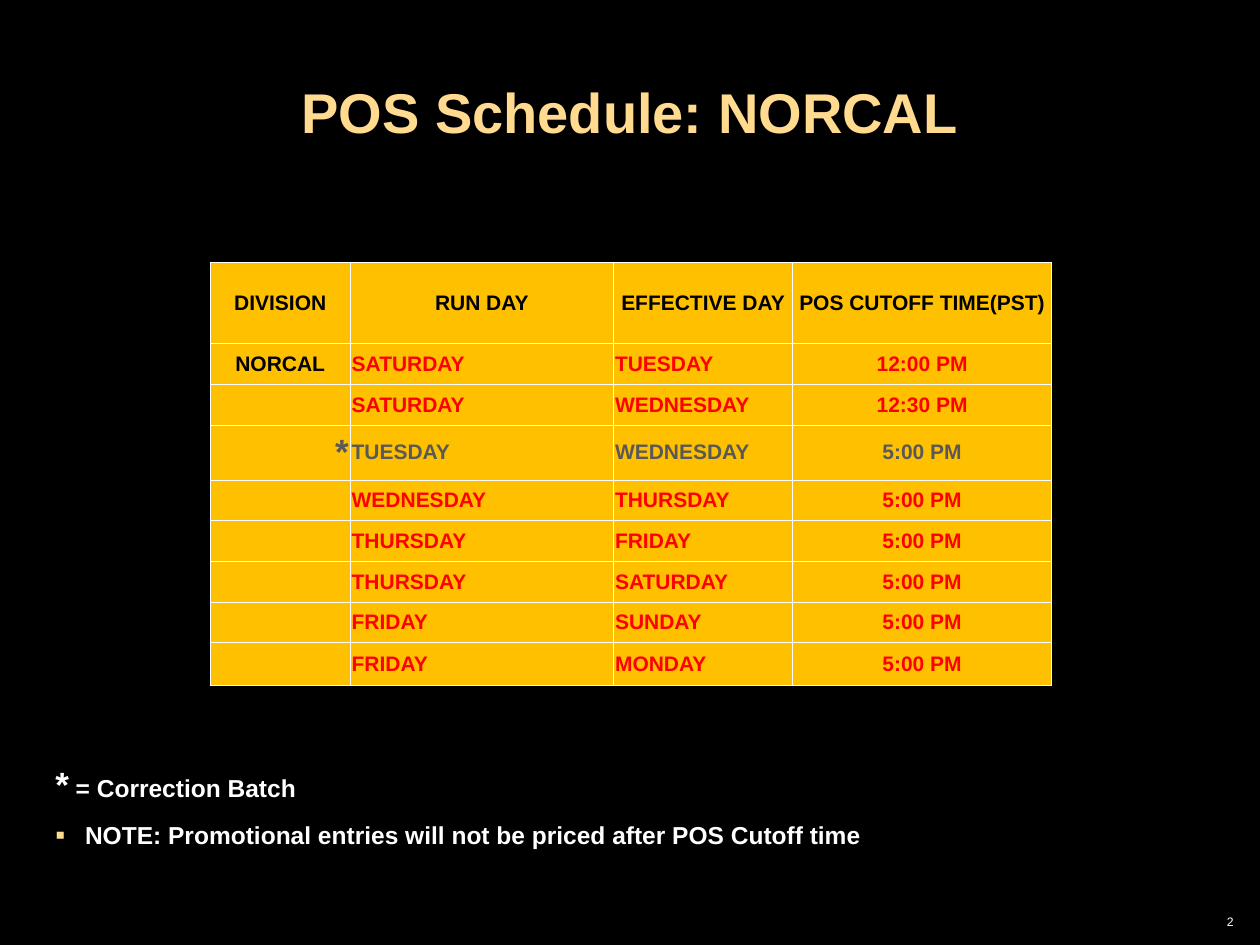
from dataclasses import dataclass

from lxml import etree
from pptx import Presentation
from pptx.dml.color import RGBColor
from pptx.enum.text import MSO_ANCHOR, MSO_AUTO_SIZE, PP_ALIGN
from pptx.oxml.ns import qn
from pptx.util import Cm, Pt

LEFT, CENTER, RIGHT = PP_ALIGN.LEFT, PP_ALIGN.CENTER, PP_ALIGN.RIGHT
MIDDLE, BOTTOM = MSO_ANCHOR.MIDDLE, MSO_ANCHOR.BOTTOM
FIXED_SIZE, GROW = MSO_AUTO_SIZE.NONE, MSO_AUTO_SIZE.SHAPE_TO_FIT_TEXT

FONT = "Arial"
COLORS = {
    "background": "000000",
    "accent": "FFDA8F",
    "light": "FFFFFF",
    "cell": "FFC000",
    "header": "000000",
    "regular": "FF0000",
    "correction": "595959",
}
HEADERS = ("DIVISION", "RUN DAY", "EFFECTIVE DAY", "POS CUTOFF TIME(PST)")
COLUMN_WIDTHS = (2.82, 5.31, 3.61, 5.22)
HEADER_HEIGHT, ROW_HEIGHT, TALL_ROW_HEIGHT = 1.65, 0.82, 0.86
TABLE_TEXT_SIZE, STAR_SIZE = 12, 20


@dataclass
class Run:
    run_day: str
    effective_day: str
    cutoff: str = "5:00 PM"
    division: str = ""
    correction: bool = False


RUNS = (
    Run("SATURDAY", "TUESDAY", "12:00 PM", division="NORCAL"),
    Run("SATURDAY", "WEDNESDAY", "12:30 PM"),
    Run("TUESDAY", "WEDNESDAY", correction=True),
    Run("WEDNESDAY", "THURSDAY"),
    Run("THURSDAY", "FRIDAY"),
    Run("THURSDAY", "SATURDAY"),
    Run("FRIDAY", "SUNDAY"),
    Run("FRIDAY", "MONDAY"),
)


def rgb(name: str) -> RGBColor:
    return RGBColor.from_string(COLORS[name])


def add_text(paragraph, text: str, *, size: float, color: str,
             bold: bool = True, align=LEFT) -> None:
    paragraph.alignment = align
    run = paragraph.add_run()
    run.text = text
    run.font.name = FONT
    run.font.size = Pt(size)
    run.font.bold = bold
    run.font.color.rgb = rgb(color)


def place(shape, left: float, top: float, width: float, height: float) -> None:
    shape.left, shape.top = Cm(left), Cm(top)
    shape.width, shape.height = Cm(width), Cm(height)


def set_bullet(paragraph, character: str = "", indent: float = 0) -> None:
    """Give the paragraph a square bullet, or none when no character is given."""
    properties = paragraph._p.get_or_add_pPr()
    properties.set("marL", str(Cm(indent)))
    properties.set("indent", str(-Cm(indent)))
    if not character:
        etree.SubElement(properties, qn("a:buNone"))
        return
    color = etree.SubElement(properties, qn("a:buClr"))
    etree.SubElement(color, qn("a:srgbClr"), val=COLORS["accent"])
    etree.SubElement(properties, qn("a:buSzPct"), val="115000")
    etree.SubElement(properties, qn("a:buFont"), typeface=FONT)
    etree.SubElement(properties, qn("a:buChar"), char=character)


def set_borders(cell, color: str, width: float) -> None:
    properties = cell._tc.get_or_add_tcPr()
    for side in ("lnL", "lnR", "lnT", "lnB"):
        line = etree.SubElement(properties, qn(f"a:{side}"), w=str(Pt(width)))
        fill = etree.SubElement(line, qn("a:solidFill"))
        etree.SubElement(fill, qn("a:srgbClr"), val=COLORS[color])


def fill_cell(cell, text: str, color: str, align, size: float = TABLE_TEXT_SIZE) -> None:
    set_borders(cell, "light", 0.45)
    cell.fill.solid()
    cell.fill.fore_color.rgb = rgb("cell")
    cell.vertical_anchor = MIDDLE
    cell.margin_left = cell.margin_right = Cm(0.03)
    cell.margin_top = cell.margin_bottom = Cm(0.13)
    paragraph = cell.text_frame.paragraphs[0]
    if text:
        add_text(paragraph, text, size=size, color=color, align=align)
    else:
        # The end mark sets the line height of an empty cell.
        paragraph._p.get_or_add_endParaRPr().set("sz", str(size * 100))


def add_schedule(slide) -> None:
    heights = [HEADER_HEIGHT] + [ROW_HEIGHT] * len(RUNS)
    heights[-1] = TALL_ROW_HEIGHT
    frame = slide.shapes.add_table(len(heights), len(HEADERS), Cm(4.24), Cm(5.28),
                                   Cm(sum(COLUMN_WIDTHS)), Cm(sum(heights)))
    table = frame.table
    table.first_row = table.horz_banding = False
    for column, width in zip(table.columns, COLUMN_WIDTHS):
        column.width = Cm(width)
    for row, height in zip(table.rows, heights):
        row.height = Cm(height)
    for index, header in enumerate(HEADERS):
        fill_cell(table.cell(0, index), header, "header", CENTER)
    for index, run in enumerate(RUNS, start=1):
        color = "correction" if run.correction else "regular"
        if run.correction:
            fill_cell(table.cell(index, 0), "*", color, RIGHT, STAR_SIZE)
        else:
            fill_cell(table.cell(index, 0), run.division, "header", CENTER)
        fill_cell(table.cell(index, 1), run.run_day, color, LEFT)
        fill_cell(table.cell(index, 2), run.effective_day, color, LEFT)
        fill_cell(table.cell(index, 3), run.cutoff, color, CENTER)


def add_title(slide) -> None:
    title = slide.shapes.title
    place(title, 0.33, 1.6, 24.74, 1.47)
    title.text_frame.auto_size = GROW
    title.text_frame.vertical_anchor = BOTTOM
    paragraph = title.text_frame.paragraphs[0]
    paragraph.line_spacing = 0.9
    add_text(paragraph, "POS Schedule: NORCAL", size=32, color="accent", align=CENTER)


def add_notes_list(slide) -> None:
    body = slide.placeholders[1]
    place(body, 0.86, 15.24, 23.65, 2.11)
    body.text_frame.auto_size = FIXED_SIZE
    legend = body.text_frame.paragraphs[0]
    set_bullet(legend)
    legend.space_before = Pt(0)
    add_text(legend, "*", size=STAR_SIZE, color="light")
    add_text(legend, " = Correction Batch", size=14, color="light")
    note = body.text_frame.add_paragraph()
    set_bullet(note, "▪", 0.6)
    note.space_before = Pt(8.8)
    add_text(note, "NOTE: Promotional entries will not be priced after POS Cutoff time",
             size=14, color="light")


def add_page_number(slide) -> None:
    box = slide.shapes.add_textbox(Cm(19.84), Cm(18.31), Cm(5.28), Cm(0.74))
    box.text_frame.word_wrap = True
    add_text(box.text_frame.paragraphs[0], "2", size=7, color="light",
             bold=False, align=RIGHT)


def main() -> None:
    presentation = Presentation()
    presentation.slide_width, presentation.slide_height = Cm(25.4), Cm(19.05)
    slide = presentation.slides.add_slide(presentation.slide_layouts[1])
    slide.background.fill.solid()
    slide.background.fill.fore_color.rgb = rgb("background")
    add_page_number(slide)
    add_title(slide)
    add_notes_list(slide)
    add_schedule(slide)
    presentation.save("out.pptx")


if __name__ == "__main__":
    main()
